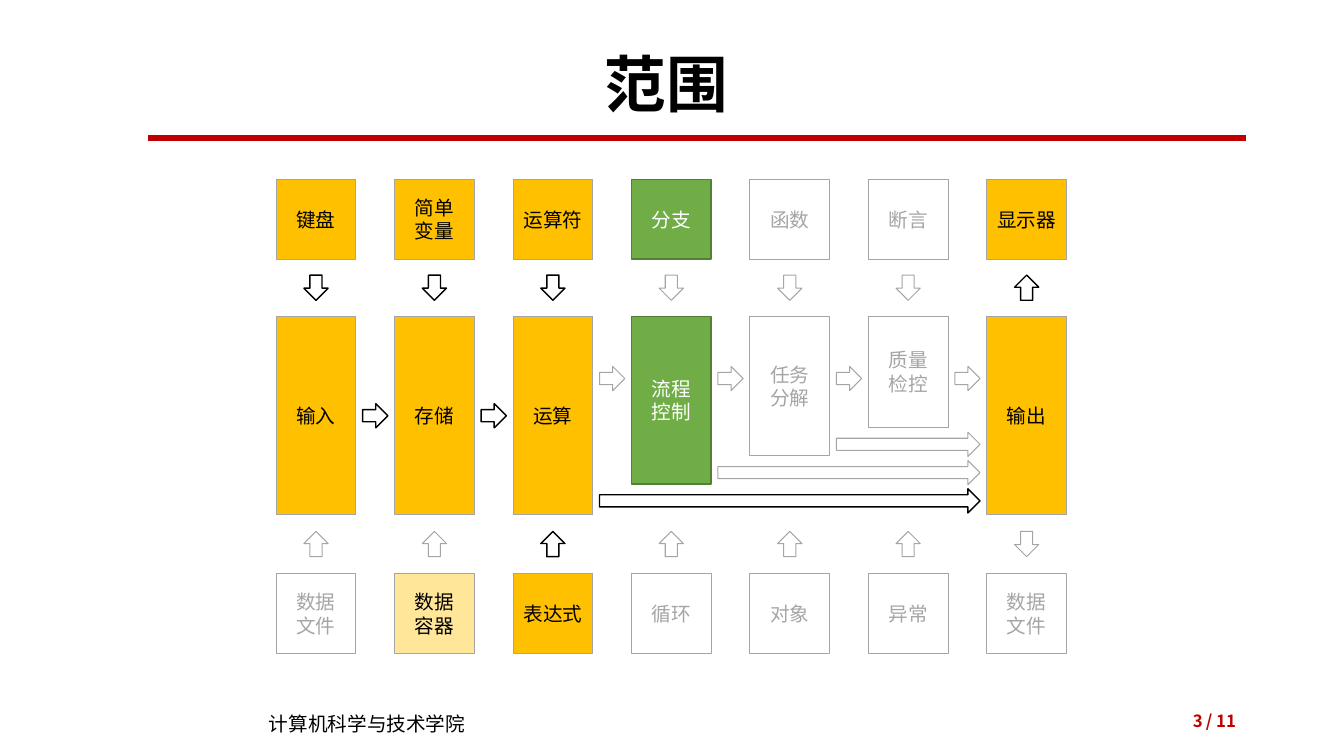
from lxml.etree import SubElement
from pptx import Presentation
from pptx.dml.color import RGBColor
from pptx.enum.shapes import MSO_CONNECTOR, MSO_SHAPE
from pptx.enum.text import MSO_ANCHOR, PP_ALIGN
from pptx.oxml.ns import qn
from pptx.util import Pt

FONT = "Noto Sans CJK SC"
RED, BLACK, GREY, WHITE = "C00000", "000000", "A5A5A5", "FFFFFF"

# Stage of teaching: fill, line, line width, text colour
STYLES = {
    "done": ("FFC000", GREY, 0.75, BLACK),
    "partial": ("FFE699", GREY, 0.75, BLACK),
    "current": ("70AD47", "538035", 1, WHITE),
    "later": (None, GREY, 0.75, GREY),
}

# Each column: (text, style) for the upper, middle and lower box
COLUMNS = [
    (("键盘", "done"), ("输入", "done"), ("数据\n文件", "later")),
    (("简单\n变量", "done"), ("存储", "done"), ("数据\n容器", "partial")),
    (("运算符", "done"), ("运算", "done"), ("表达式", "done")),
    (("分支", "current"), ("流程\n控制", "current"), ("循环", "later")),
    (("函数", "later"), ("任务\n分解", "later"), ("对象", "later")),
    (("断言", "later"), ("质量\n检控", "later"), ("异常", "later")),
    (("显示器", "done"), ("输出", "done"), ("数据\n文件", "later")),
]

BOX, PITCH = 56.9, 84.6
MIDDLE_TOP, MIDDLE_HEIGHT, LOWER_TOP = 97.9, 141.8, 281.5
ARROW_WIDTH, ARROW_LENGTH = 17.3, 18
STEP = 20.2  # height lost by each later middle box


def color(value):
    return RGBColor.from_string(value)


def format_text(text_frame, text, size, text_color, align, bold=False,
                latin=FONT, spacing=None):
    text_frame.text = text
    for paragraph in text_frame.paragraphs:
        paragraph.alignment = align
        if spacing:
            paragraph.line_spacing = spacing
        for run in paragraph.runs:
            run.font.name = latin
            run.font.size = Pt(size)
            run.font.bold = bold
            run.font.color.rgb = color(text_color)
            east_asian = SubElement(run.font._element, qn("a:ea"))
            east_asian.set("typeface", FONT)


def add_figure(slide, kind, left, top, width, height, fill, line, line_width):
    shape = slide.shapes.add_shape(kind, Pt(left), Pt(top), Pt(width), Pt(height))
    shape.shadow.inherit = False
    if fill:
        shape.fill.solid()
        shape.fill.fore_color.rgb = color(fill)
    else:
        shape.fill.background()
    shape.line.color.rgb = color(line)
    shape.line.width = Pt(line_width)
    return shape


def add_box(slide, left, top, height, text, style):
    fill, line, line_width, text_color = STYLES[style]
    shape = add_figure(slide, MSO_SHAPE.RECTANGLE, left, top, BOX, height,
                       fill, line, line_width)
    frame = shape.text_frame
    frame.margin_left = frame.margin_right = 0
    frame.vertical_anchor = MSO_ANCHOR.MIDDLE
    format_text(frame, text, 14, text_color, PP_ALIGN.CENTER, spacing=Pt(16.8))


def add_arrow(slide, kind, left, top, width, height, active):
    look = (WHITE, BLACK, 1) if active else (None, GREY, 0.75)
    add_figure(slide, kind, left, top, width, height, *look)


def add_label(slide, left, top, width, height, text, size, text_color, align, bold):
    frame = slide.shapes.add_textbox(Pt(left), Pt(top), Pt(width), Pt(height)).text_frame
    frame.word_wrap = True
    frame.vertical_anchor = MSO_ANCHOR.MIDDLE
    format_text(frame, text, size, text_color, align, bold)


def add_header(slide, left, top, width, height):
    title = slide.shapes.title
    title.left, title.top, title.width, title.height = map(Pt, (left, top, width, height))
    title.text_frame.vertical_anchor = MSO_ANCHOR.MIDDLE
    format_text(title.text_frame, "范围", 44, BLACK, PP_ALIGN.CENTER, True, "Calibri", 0.9)
    rule_y = Pt(top + height + 2.2)
    rule = slide.shapes.add_connector(
        MSO_CONNECTOR.STRAIGHT, Pt(left + 43.9), rule_y, Pt(left + width), rule_y)
    rule.line.color.rgb = color(RED)
    rule.line.width = Pt(4.5)
    SubElement(rule._element.spPr, qn("a:effectLst"))


def add_column(slide, left, top, index, column):
    """Three boxes, with an arrow above and below the middle one."""
    (upper, upper_style), (middle, middle_style), (lower, lower_style) = column
    is_last = index == len(COLUMNS) - 1
    shortening = 0 if is_last else STEP * max(0, index - 2) + (2 if index > 2 else 0)
    add_box(slide, left, top, BOX, upper, upper_style)
    add_box(slide, left, top + MIDDLE_TOP, MIDDLE_HEIGHT - shortening, middle, middle_style)
    add_box(slide, left, top + LOWER_TOP, BOX, lower, lower_style)

    kinds = [MSO_SHAPE.DOWN_ARROW, MSO_SHAPE.UP_ARROW]
    if is_last:
        kinds.reverse()
    arrow_left = left + (BOX - ARROW_WIDTH) / 2
    for kind, offset, style in zip(kinds, (68.3, 251.4), (upper_style, lower_style)):
        add_arrow(slide, kind, arrow_left, top + offset, ARROW_WIDTH, ARROW_LENGTH,
                  style == "done")


def add_flow(slide, left, top):
    """Arrows from one middle box to the next, and straight to the output."""
    last = len(COLUMNS) - 1
    styles = [column[1][1] for column in COLUMNS]
    first_gap = left + (BOX + PITCH - ARROW_LENGTH) / 2
    for index in range(last):
        active = styles[index] == styles[index + 1] == "done"
        center = top + (168.8 if index < 2 else 142.2)
        add_arrow(slide, MSO_SHAPE.RIGHT_ARROW, first_gap + index * PITCH,
                  center - ARROW_WIDTH / 2, ARROW_LENGTH, ARROW_WIDTH, active)
    for index in (2, 3, 4):
        center = top + 229.6 - STEP * (index - 2)
        add_arrow(slide, MSO_SHAPE.RIGHT_ARROW, first_gap + index * PITCH,
                  center - ARROW_WIDTH / 2, ARROW_LENGTH + (last - 1 - index) * PITCH,
                  ARROW_WIDTH, styles[index] == styles[last] == "done")


def add_diagram(slide, left, top):
    for index, column in enumerate(COLUMNS):
        add_column(slide, left + index * PITCH, top, index, column)
    add_flow(slide, left, top)


def add_footer(slide, left, top, right):
    add_label(slide, left, top + 4.5, 210, 24.5, "计算机科学与技术学院", 14, BLACK,
              PP_ALIGN.LEFT, False)
    add_label(slide, right - 54, top, 54, 28.8, "/ 11", 12, RED, PP_ALIGN.RIGHT, True)
    add_label(slide, right - 211.7, top, 188, 28.8, "3", 12, RED, PP_ALIGN.RIGHT, True)


def main():
    presentation = Presentation()
    presentation.slide_width, presentation.slide_height = Pt(960), Pt(540)
    slide = presentation.slides.add_slide(presentation.slide_layouts[5])
    add_header(slide, 62, 28.8, 828, 67.7)
    add_diagram(slide, 197.3, 128.2)
    add_footer(slide, 185, 500.4, 890)
    presentation.save("out.pptx")


if __name__ == "__main__":
    main()
